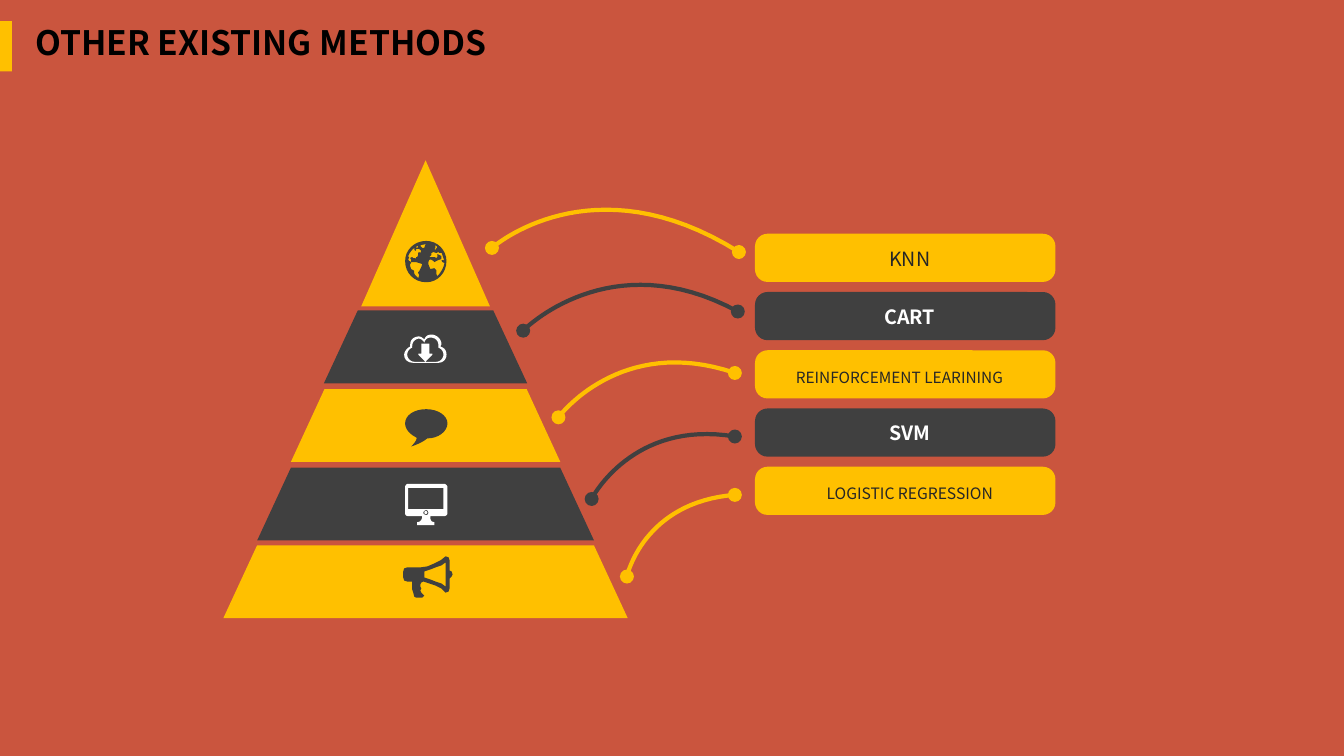
import pptx
import pptx.dml.color
import pptx.enum.shapes
import pptx.enum.text
import pptx.util

Pt = pptx.util.Pt
SHAPES = pptx.enum.shapes.MSO_SHAPE
ALIGN = pptx.enum.text.PP_ALIGN
ANCHOR = pptx.enum.text.MSO_ANCHOR
COLOURS = {"background": "CA553E", "gold": "FFC000", "grey": "404040",
           "ink": "262626", "white": "FFFFFF", "black": "000000"}

# Icon outlines lie on a grid of 0.72 pt. A pair is a corner; six numbers
# are the two control points and the end of a curve.
ICON_UNIT = 0.72
GLOBE = [
    [(21, 0), (9, 0, 0, 9, 0, 20), (0, 32, 9, 41, 21, 41),
     (32, 41, 41, 32, 41, 20), (41, 9, 32, 0, 21, 0)],
    [(29, 8), (30, 7), (30, 4), (32, 6), (30, 9)],
    [(16, 26), (15, 28), (14, 30), (13, 31), (13, 32), (14, 34), (13, 37),
     (11, 35), (10, 34), (9, 32), (9, 30), (8, 29), (6, 28), (5, 25), (5, 23),
     (6, 22), (5, 20), (4, 20), (3, 18), (4, 17), (3, 15), (7, 6, 13, 5, 13, 5),
     (13, 6), (12, 7), (10, 6), (9, 8), (10, 10), (11, 9), (11, 8), (14, 8),
     (16, 10), (15, 12), (14, 11), (13, 12), (13, 14), (12, 16), (11, 16),
     (11, 18), (10, 17), (8, 17), (7, 16), (5, 17), (6, 19), (6, 21), (9, 21),
     (11, 21), (14, 22), (17, 23)],
    [(20, 4), (19, 7), (17, 7), (15, 5), (16, 4), (22, 3)],
    [(37, 21), (39, 22), (38, 29, 32, 35, 32, 35), (31, 33), (31, 29), (29, 27),
     (25, 28), (23, 23), (23, 14, 29, 21, 29, 21), (33, 19), (36, 18), (36, 15),
     (32, 13), (32, 16), (31, 17), (29, 16), (27, 16), (24, 16), (25, 15),
     (26, 14), (26, 12), (28, 11), (31, 12), (33, 11), (34, 12), (37, 12),
     (36, 11), (39, 20), (38, 19), (36, 19)],
]
CLOUD = [
    [(36, 12), (36, 11, 37, 10, 37, 10), (37, 4, 32, 0, 27, 0),
     (21, 0, 20, 5, 20, 5), (20, 5, 17, 1, 13, 2), (8, 3, 6, 6, 6, 10), (6, 12),
     (3, 13, 0, 17, 0, 20), (0, 25, 4, 28, 9, 28), (34, 28),
     (38, 28, 42, 25, 42, 20), (42, 16, 40, 13, 36, 12)],
    [(32, 27), (21, 27), (28, 20), (28, 19), (25, 19), (25, 9), (17, 9),
     (17, 19), (14, 19), (14, 20), (21, 27), (10, 27), (6, 27, 3, 23, 3, 20),
     (3, 17, 5, 14, 8, 13), (8, 11), (8, 8, 10, 5, 14, 4),
     (18, 4, 20, 8, 20, 8), (20, 8, 21, 3, 26, 3), (31, 3, 34, 6, 34, 11),
     (34, 13), (37, 14, 39, 17, 39, 20), (39, 23, 36, 27, 32, 27)],
]
BUBBLE = [
    [(42, 14), (42, 6, 32, 0, 21, 0), (9, 0, 0, 6, 0, 14),
     (0, 20, 5, 25, 11, 28), (12, 29, 11, 32, 6, 37), (6, 37, 16, 34, 22, 29),
     (33, 29, 42, 22, 42, 14)],
]
MONITOR = [
    [(39, 0), (3, 0), (1, 0, 0, 2, 0, 3), (0, 29), (0, 31, 1, 32, 3, 32),
     (17, 32), (17, 32, 17, 38, 12, 38), (12, 41), (29, 41), (29, 38),
     (24, 38, 25, 32, 25, 32), (39, 32), (40, 32, 42, 31, 42, 29), (42, 3),
     (42, 2, 40, 0, 39, 0)],
    [(18, 29), (18, 27, 20, 26, 21, 26), (22, 26, 23, 27, 23, 29),
     (23, 30, 22, 31, 21, 31), (20, 31, 18, 30, 18, 29)],
    [(38, 25), (3, 25), (3, 4), (38, 4)],
]
MEGAPHONE = [
    [(49, 18), (48, 20), (46, 22), (46, 32), (45, 35), (42, 36), (38, 32),
     (32, 29), (26, 27), (20, 25), (18, 26), (17, 28), (17, 30), (18, 32),
     (17, 34), (18, 36), (19, 37), (21, 39), (19, 41), (16, 41), (13, 41),
     (11, 40), (10, 36), (9, 33), (9, 25), (4, 25), (1, 24), (0, 21), (0, 15),
     (1, 12), (4, 11), (17, 11), (24, 10), (31, 7), (37, 4), (42, 0), (45, 1),
     (46, 4), (46, 14), (48, 15)],
    [(42, 6), (38, 9), (32, 11), (27, 13), (21, 15), (21, 21), (27, 23),
     (32, 25), (38, 27), (42, 30)],
]

PYRAMID_CENTRE = 304
# top, bottom, half width at the top, half width at the bottom
TIERS = [(114.5, 218.9, 0, 46), (221.8, 273.8, 48.4, 72.6),
         (277.9, 329.9, 72.2, 96.2), (334.1, 386.1, 96.2, 120.3),
         (389.5, 441.5, 120.3, 144.4)]
ICONS = [(GLOBE, 289.4, 172.1), (CLOUD, 288.7, 239), (BUBBLE, 289.4, 292.3),
         (MONITOR, 289.4, 345.6), (MEGAPHONE, 288, 397.4)]
# start, bend, end
ARCS = [((351.4, 177.1), (422.6, 113.8), (527.8, 180)),
        ((373.7, 236.2), (435.6, 172.8), (527, 222.5)),
        ((398.9, 298.1), (442.8, 238.3), (524.9, 266.4)),
        ((422.6, 356.4), (451.4, 299.5), (524.9, 311.8)),
        ((447.8, 411.8), (459.4, 358.6), (524.9, 353.5))]
# text, size, left, width
LABELS = [("KNN", 14, 578.2, 143.3), ("CART", 14, 578.2, 143.3),
          ("REINFORCEMENT LEARINING", 11, 539.3, 206.6),
          ("SVM", 14, 578.2, 143.3), ("LOGISTIC REGRESSION", 11.2, 578.2, 143.3)]
PILL_TOP, PILL_STEP = 167, 41.6


def colour(name):
    return pptx.dml.color.RGBColor.from_string(COLOURS[name])


def flatten(outline, steps=8):
    """Turn corners and cubic curves into a plain list of points."""
    points = [outline[0]]
    for segment in outline[1:]:
        if len(segment) == 2:
            points.append(segment)
            continue
        knots = [points[-1], segment[:2], segment[2:4], segment[4:]]
        for step in range(1, steps + 1):
            t = step / steps
            weights = ((1 - t) ** 3, 3 * t * (1 - t) ** 2, 3 * t * t * (1 - t), t ** 3)
            points.append(tuple(sum(w * knot[axis] for w, knot in zip(weights, knots))
                                for axis in (0, 1)))
    return points


class Page:
    font = "Noto Sans CJK SC"

    def __init__(self, deck):
        self.slide = deck.slides.add_slide(deck.slide_layouts[5])
        self.shapes = self.slide.shapes
        self.slide.background.fill.solid()
        self.slide.background.fill.fore_color.rgb = colour("background")

    def paint(self, shape, fill):
        shape.shadow.inherit = False
        shape.fill.solid()
        shape.fill.fore_color.rgb = colour(fill)
        shape.line.fill.background()

    def set_text(self, frame, text, size, ink, bold, align, anchor):
        frame.word_wrap = True
        frame.vertical_anchor = anchor
        para = frame.paragraphs[0]
        para.text = text
        para.alignment = align
        para.line_spacing = 0.9
        para.font.name, para.font.size, para.font.bold = self.font, Pt(size), bold
        para.font.color.rgb = colour(ink)

    def title(self, text, left, top, width, height):
        box = self.shapes.title
        box.left, box.top, box.width, box.height = map(Pt, (left, top, width, height))
        self.set_text(box.text_frame, text, 24, "black", True, ALIGN.LEFT, ANCHOR.TOP)

    def label(self, text, size, ink, bold, left, top, width, height):
        box = self.shapes.add_textbox(*map(Pt, (left, top, width, height)))
        self.set_text(box.text_frame, text, size, ink, bold, ALIGN.CENTER, ANCHOR.BOTTOM)

    def preset(self, kind, fill, left, top, width, height):
        shape = self.shapes.add_shape(kind, *map(Pt, (left, top, width, height)))
        self.paint(shape, fill)
        return shape

    def outline(self, contours, fill, left=0, top=0, unit=1):
        """Draw contours as one filled shape; inner contours become holes."""
        pen = None
        for contour in contours:
            points = [(left + x * unit, top + y * unit) for x, y in flatten(contour)]
            if pen is None:
                pen = self.shapes.build_freeform(*map(Pt, points[0]))
            else:
                pen.move_to(*map(Pt, points[0]))
            pen.add_line_segments([(Pt(x), Pt(y)) for x, y in points[1:]], close=True)
        self.paint(pen.convert_to_shape(), fill)

    def arc(self, start, bend, end, ink):
        points = flatten([start, start + bend + end], steps=32)
        pen = self.shapes.build_freeform(*map(Pt, start))
        pen.add_line_segments([(Pt(x), Pt(y)) for x, y in points[1:]], close=False)
        curve = pen.convert_to_shape()
        curve.shadow.inherit = False
        curve.fill.background()
        curve.line.color.rgb = colour(ink)
        curve.line.width = Pt(3)
        for x, y in (start, end):
            self.preset(SHAPES.OVAL, ink, x - 5, y - 5, 10, 10)


def main():
    deck = pptx.Presentation()
    deck.slide_width, deck.slide_height = Pt(960), Pt(540)
    page = Page(deck)
    page.title("OTHER EXISTING METHODS", 18, 15.1, 375.8, 65.7)
    page.preset(SHAPES.RECTANGLE, "gold", 0, 15.1, 8.6, 36)
    for row, (tier, icon, arc, label) in enumerate(zip(TIERS, ICONS, ARCS, LABELS)):
        dark = row % 2 == 1
        fill = "grey" if dark else "gold"
        icon_fill = "white" if dark else "grey"
        top, bottom, half_top, half_base = tier
        mid = PYRAMID_CENTRE
        page.outline([[(mid - half_top, top), (mid + half_top, top),
                       (mid + half_base, bottom), (mid - half_base, bottom)]], fill)
        contours, left, icon_top = icon
        page.outline(contours, icon_fill, left, icon_top, ICON_UNIT)
        if contours is MONITOR:
            page.preset(SHAPES.OVAL, icon_fill, left + 13.7, icon_top + 19.4, 2.2, 2.2)
        pill_top = PILL_TOP + row * PILL_STEP
        pill = page.preset(SHAPES.ROUNDED_RECTANGLE, fill, 539.3, pill_top, 214.6, 34.4)
        pill.adjustments[0] = 0.26
        page.arc(*arc, fill)
        text, size, left, width = label
        page.label(text, size, "white" if dark else "ink", dark,
                   left, pill_top + 4.4, width, 25.2)
    deck.save("out.pptx")


if __name__ == "__main__":
    main()
